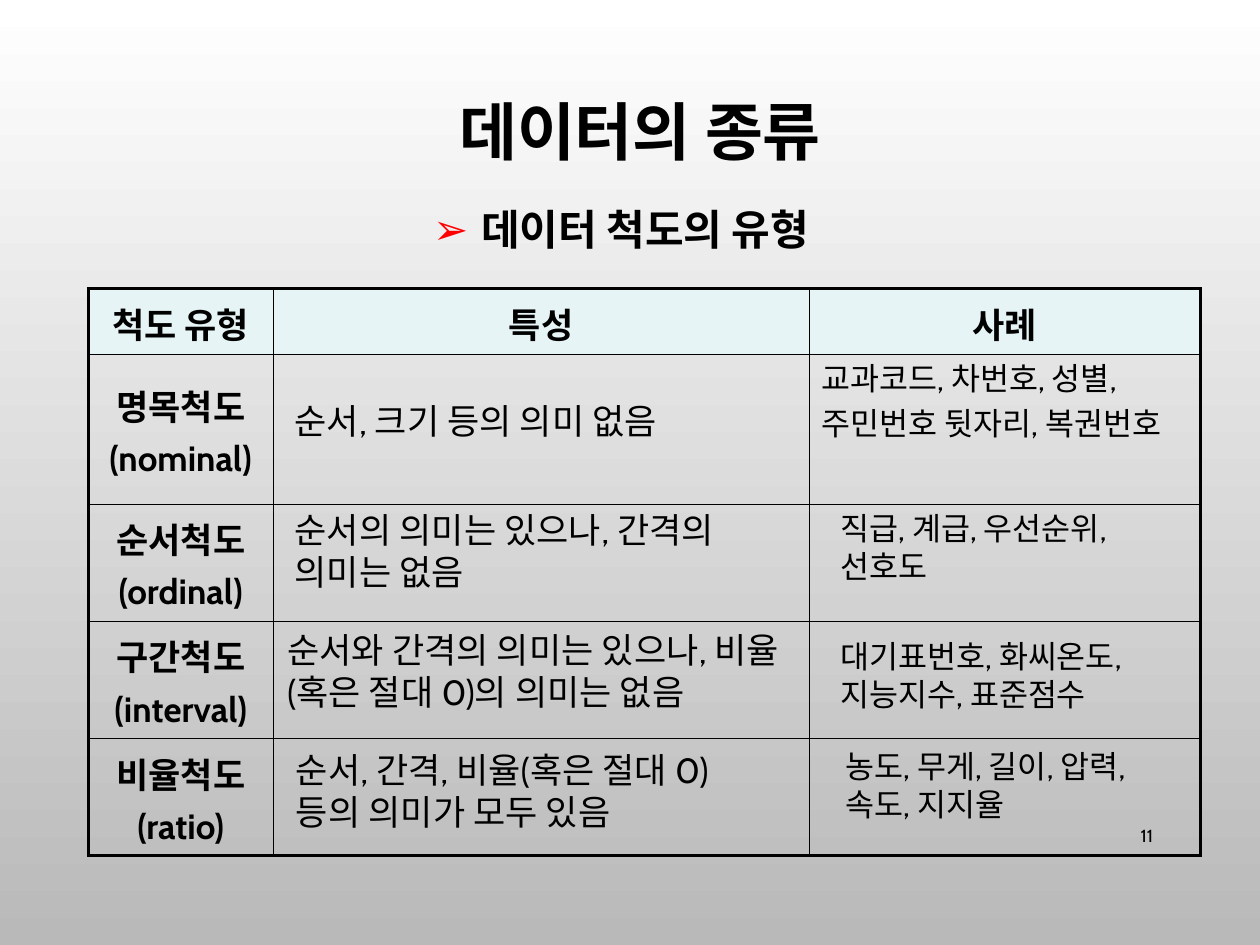
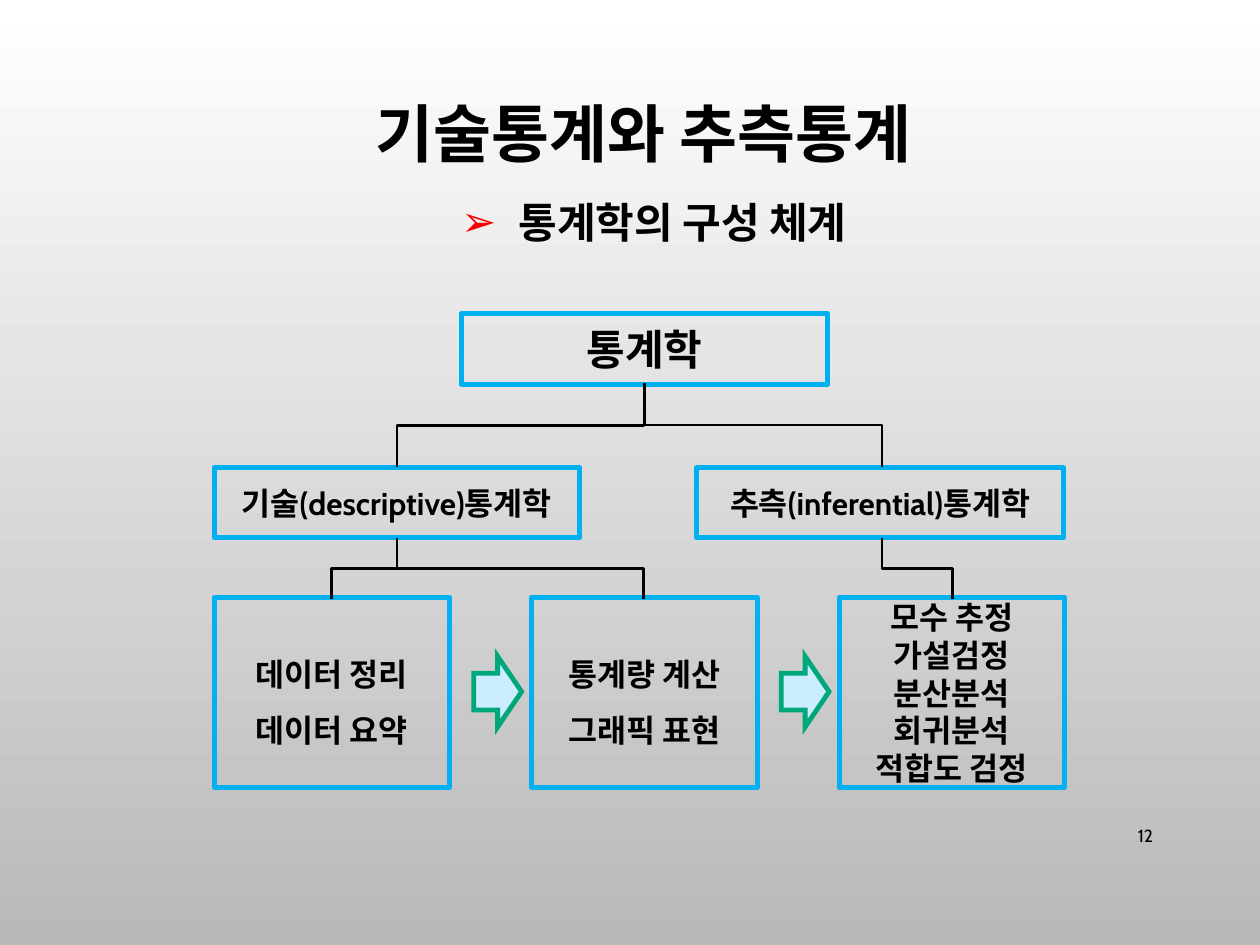
"""Build two slides on measurement scales and the branches of statistics."""
from lxml.etree import SubElement
from pptx import Presentation
from pptx.dml.color import RGBColor
from pptx.enum.shapes import MSO_CONNECTOR as LineKind, MSO_SHAPE as Preset
from pptx.enum.text import MSO_ANCHOR as Anchor, PP_ALIGN as Align
from pptx.oxml.ns import qn
from pptx.util import Inches, Pt

BLACK = RGBColor(0x00, 0x00, 0x00)
WHITE = RGBColor(0xFF, 0xFF, 0xFF)
GRAY = RGBColor(0xB9, 0xB9, 0xB9)
RED = RGBColor(0xFF, 0x00, 0x00)
HEADER_TINT = RGBColor(0xE7, 0xF4, 0xF6)
BOX_BLUE = RGBColor(0x00, 0xB0, 0xF0)
ARROW_TINT = RGBColor(0xCC, 0xEC, 0xFF)
ARROW_GREEN = RGBColor(0x00, 0xA7, 0x7A)

FONT = "Cabin"
TITLE = {"size": Pt(36), "bold": True}
SUBTITLE = {"size": Pt(24), "bold": True}
SCALE = {"size": Pt(20), "bold": True}
TRAIT = {"size": Pt(20), "bold": False}
EXAMPLE = {"size": Pt(18), "bold": False}
BRANCH = {"size": Pt(18), "bold": True}
PAGE = {"size": Pt(10), "bold": False}


def write(frame, text, look, align=Align.LEFT, spacing=None):
    frame.word_wrap = True
    for i, line in enumerate(text.split("\n")):
        paragraph = frame.add_paragraph() if i else frame.paragraphs[0]
        paragraph.alignment = align
        paragraph.line_spacing = spacing
        paragraph._p.get_or_add_pPr().set("hangingPunct", "0")
        run = paragraph.add_run()
        run.text = line
        for key, value in {"name": FONT, **look}.items():
            setattr(run.font, key, value)
        run.font.color.rgb = BLACK
        SubElement(run._r.get_or_add_rPr(), qn("a:ea"), typeface=FONT)


def add_text(slide, place, text, look, align=Align.LEFT, spacing=None, anchor=Anchor.TOP):
    frame = slide.shapes.add_textbox(*map(Inches, place)).text_frame
    frame.vertical_anchor = anchor
    write(frame, text, look, align, spacing)
    return frame


prs = Presentation()
prs.slide_width, prs.slide_height = Inches(10), Inches(7.5)
backdrop = prs.slide_master.background.fill
backdrop.gradient()
backdrop.gradient_angle = 270
for stop, color in zip(backdrop.gradient_stops, (WHITE, GRAY)):
    stop.color.rgb = color

headings = [
    ("데이터의 종류", (0.83, 0.2), "데이터 척도의 유형", (1.61, 1.57), "11"),
    ("기술통계와 추측통계", (0.86, 0.21), " 통계학의 구성 체계", (1.87, 1.51), "12"),
]
slides = []
for title, title_at, subtitle, subtitle_at, number in headings:
    slide = prs.slides.add_slide(prs.slide_layouts[6])
    add_text(slide, (*title_at, 8.5, 1.75), title, TITLE, Align.CENTER, 0.9, Anchor.MIDDLE)
    add_text(slide, (8.62, 6.43, 0.63, 0.4), number, PAGE, Align.RIGHT, anchor=Anchor.MIDDLE)
    bulleted = add_text(slide, (*subtitle_at, 6.64, 0.5), subtitle, SUBTITLE, Align.CENTER)
    props = bulleted.paragraphs[0]._p.get_or_add_pPr()
    props.set("marL", str(Inches(0.38)))
    props.set("indent", str(-Inches(0.38)))
    SubElement(SubElement(props, qn("a:buClr")), qn("a:srgbClr"), val=str(RED))
    SubElement(props, qn("a:buFont"), typeface=FONT)
    SubElement(props, qn("a:buChar"), char="➢")
    slides.append(slide)
scales_slide, branches_slide = slides

scale_rows = [
    ("척도 유형", "특성", "사례"),
    ("명목척도\n(nominal)", "", ""),
    ("순서척도\n(ordinal)", "", ""),
    ("구간척도\n(interval)", "", ""),
    ("비율척도\n(ratio)", "", ""),
]
widths, heights = (1.47, 4.25, 3.11), (0.52, 1.19, 0.93, 0.93, 0.93)
last_row, last_col = len(heights) - 1, len(widths) - 1
scales = scales_slide.shapes.add_table(
    len(heights), len(widths), Inches(0.7), Inches(2.29), Inches(sum(widths)), Inches(sum(heights))).table
scales.first_row = scales.horz_banding = False
for column, width in zip(scales.columns, widths):
    column.width = Inches(width)
for row, height in zip(scales.rows, heights):
    row.height = Inches(height)
for r, labels in enumerate(scale_rows):
    for c, label in enumerate(labels):
        cell = scales.cell(r, c)
        cell_format = {
            "vertical_anchor": Anchor.MIDDLE,
            "margin_left": Inches(0.07), "margin_right": Inches(0.07),
            "margin_top": Inches(0.02), "margin_bottom": Inches(0.02),
        }
        for key, value in cell_format.items():
            setattr(cell, key, value)
        if label:
            write(cell.text_frame, label, SCALE, Align.CENTER, 1.2)
        outer_edges = {"lnL": c == 0, "lnR": c == last_col, "lnT": r == 0, "lnB": r == last_row}
        for edge, is_outer in outer_edges.items():
            border = SubElement(cell._tc.get_or_add_tcPr(), qn(f"a:{edge}"), w=str(Pt(1.7 if is_outer else 0.28)))
            SubElement(SubElement(border, qn("a:solidFill")), qn("a:srgbClr"), val=str(BLACK))
        if r == 0:
            cell.fill.solid()
            cell.fill.fore_color.rgb = HEADER_TINT
        else:
            cell.fill.background()

descriptions = [
    ((2.24, 3.12, 3.62, 0.44), "순서, 크기 등의 의미 없음", TRAIT, None),
    ((2.24, 3.99, 4.09, 0.77), "순서의 의미는 있으나, 간격의 의미는 없음", TRAIT, None),
    ((2.24, 4.94, 4.17, 0.77), "순서와 간격의 의미는 있으나, 비율(혹은 절대 0)의 의미는 없음", TRAIT, None),
    ((2.25, 5.89, 3.94, 0.77), "순서, 간격, 비율(혹은 절대 0) 등의 의미가 모두 있음", TRAIT, None),
    ((6.42, 2.74, 3.07, 1.19), "교과코드, 차번호, 성별,\n주민번호 뒷자리, 복권번호", EXAMPLE, 1.2),
    ((6.57, 3.99, 2.52, 0.71), "직급, 계급, 우선순위, 선호도", EXAMPLE, None),
    ((6.57, 5.01, 2.68, 0.71), "대기표번호, 화씨온도, 지능지수, 표준점수", EXAMPLE, None),
    ((6.61, 5.88, 2.72, 0.71), "농도, 무게, 길이, 압력,속도, 지지율", EXAMPLE, None),
]
for place, text, look, spacing in descriptions:
    frame = add_text(scales_slide, place, text, look, spacing=spacing)
    if text.startswith("순서와"):
        frame.margin_left = frame.margin_right = Inches(0.04)

branches = [
    ((3.66, 2.49, 2.91, 0.56), "통계학", SUBTITLE, None),
    ((1.7, 3.71, 2.9, 0.56), "기술(descriptive)통계학", BRANCH, None),
    ((5.53, 3.71, 2.91, 0.56), "추측(inferential)통계학", BRANCH, None),
    ((1.7, 4.74, 1.87, 1.51), "데이터 정리\n데이터 요약", BRANCH, 1.5),
    ((4.22, 4.74, 1.79, 1.51), "통계량 계산\n그래픽 표현", BRANCH, 1.5),
    ((6.66, 4.74, 1.79, 1.51), "모수 추정\n가설검정\n분산분석\n회귀분석\n적합도 검정", BRANCH, None),
]
for place, text, look, spacing in branches:
    box = branches_slide.shapes.add_shape(Preset.RECTANGLE, *map(Inches, place))
    box.shadow.inherit = False
    box.fill.background()
    box.line.color.rgb = BOX_BLUE
    box.line.width = Pt(2.75)
    box.text_frame.vertical_anchor = Anchor.MIDDLE
    write(box.text_frame, text, look, Align.CENTER, spacing)

links = [
    (5.11, 3.15, 3.04, 3.71), (5.12, 7, 3.04, 3.71),
    (3.15, 2.63, 4.27, 4.75), (3.15, 5.11, 4.27, 4.75), (7, 7.56, 4.27, 4.75),
]
for parent_x, child_x, top, bottom in links:
    center_x, center_y = (parent_x + child_x) / 2, (top + bottom) / 2
    half_drop, half_reach = (bottom - top) / 2, (child_x - parent_x) / 2
    ends = (center_x - half_drop, center_y + half_reach, center_x + half_drop, center_y - half_reach)
    link = branches_slide.shapes.add_connector(LineKind.ELBOW, *map(Inches, ends))
    link._element.spPr.find(qn("a:xfrm")).set("rot", str(90 * 60000))
    link.line.color.rgb = BLACK
    link.line.width = Pt(1.5)
    SubElement(link._element.spPr, qn("a:effectLst"))

for arrow_left in (3.76, 6.2):
    arrow = branches_slide.shapes.add_shape(
        Preset.RIGHT_ARROW, Inches(arrow_left), Inches(5.21), Inches(0.38), Inches(0.56))
    arrow.shadow.inherit = False
    arrow.adjustments[0], arrow.adjustments[1] = 0.52, 0.5
    arrow.fill.solid()
    arrow.fill.fore_color.rgb = ARROW_TINT
    arrow.line.color.rgb = ARROW_GREEN
    arrow.line.width = Pt(2.75)
    SubElement(arrow.line._get_or_add_ln(), qn("a:miter"), lim="800000")

prs.save("out.pptx")
